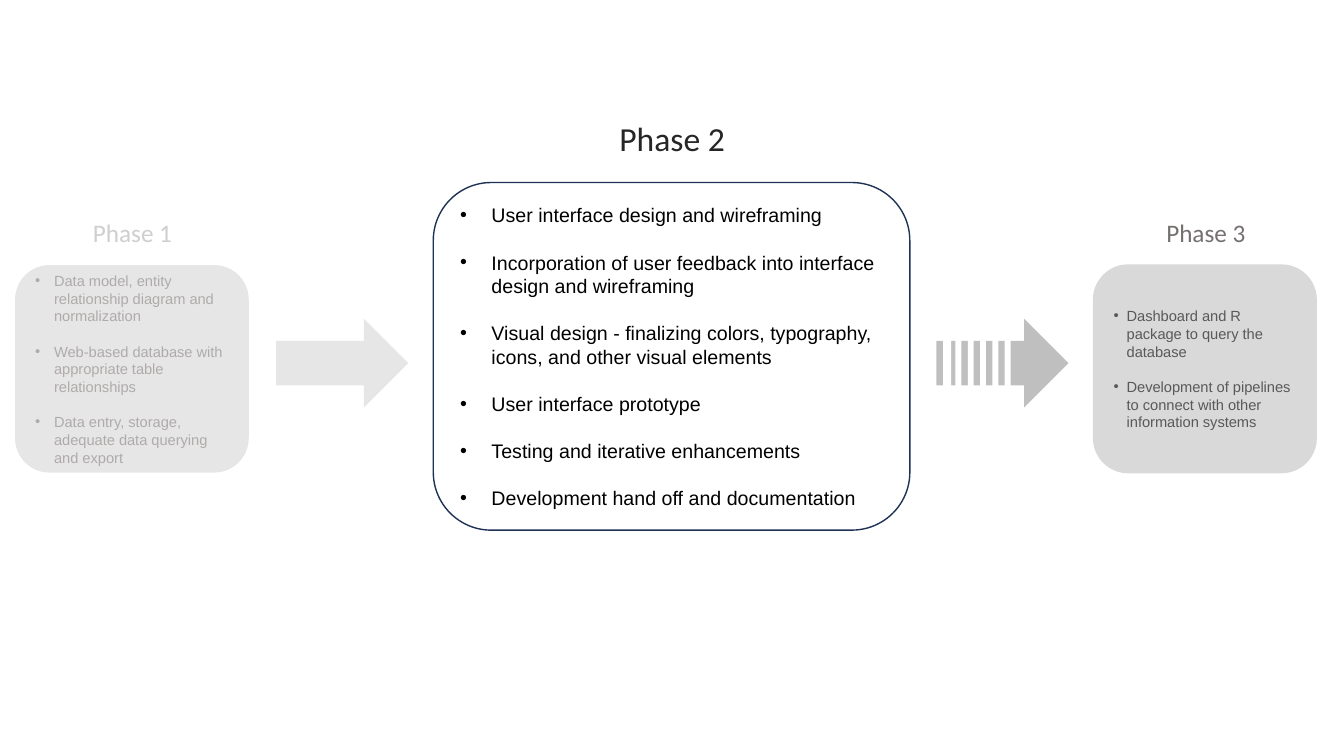
from dataclasses import dataclass

from lxml import etree
from pptx import Presentation
from pptx import util as u
from pptx.dml.color import RGBColor
from pptx.enum import shapes, text
from pptx.oxml.ns import qn

COLORS = {
    "white": "FFFFFF", "black": "000000", "navy": "1E3256",
    "pale": "E7E6E6", "pale_text": "AFABAB", "pale_title": "D0CECE",
    "silver": "D9D9D9", "dark_text": "595959", "dark_title": "767171",
    "title": "262626", "arrow": "BFBFBF",
}
LINE_HEIGHT = 1.2  # line pitch as a multiple of the text size


@dataclass
class Box:
    left: float
    top: float
    width: float
    height: float

    def lengths(self) -> list[u.Length]:
        return [u.Cm(v) for v in (self.left, self.top, self.width, self.height)]


@dataclass
class Phase:
    title: str
    title_box: Box
    title_size: float
    title_color: str
    box: Box
    fill: str
    line: str | None
    size: float
    color: str
    indent: float
    items: list[str]


PHASES = [
    Phase("Phase 1", Box(1.78, 5.36, 3.12, 1.02), 18, "pale_title",
          Box(0.38, 6.68, 5.89, 5.23), "pale", None, 10.5, "pale_text", 0.48,
          ["Data model, entity relationship diagram and normalization",
           "Web-based database with appropriate table relationships",
           "Data entry, storage, adequate data querying and export"]),
    Phase("Phase 2", Box(15.29, 2.84, 3.3, 1.27), 24, "title",
          Box(10.92, 4.6, 12.01, 8.76), "white", "navy", 14, "black", 0.79,
          ["User interface design and wireframing",
           "Incorporation of user feedback into interface design and wireframing",
           "Visual design - finalizing colors, typography, icons, and other visual elements",
           "User interface prototype",
           "Testing and iterative enhancements",
           "Development hand off and documentation"]),
    Phase("Phase 3", Box(28.83, 5.36, 3.12, 1.02), 18, "dark_title",
          Box(27.56, 6.68, 5.61, 5.23), "silver", "silver", 10.5, "dark_text", 0.33,
          ["Dashboard and R package to query the database",
           "Development of pipelines to connect with other information systems"]),
]


def rgb(name: str) -> RGBColor:
    return RGBColor.from_string(COLORS[name])


def add_shape(slide, kind, box: Box, fill: str, line: str | None = None):
    sp = slide.shapes.add_shape(kind, *box.lengths())
    sp.shadow.inherit = False
    sp.fill.solid()
    sp.fill.fore_color.rgb = rgb(fill)
    if line:
        sp.line.color.rgb = rgb(line)
        sp.line.width = u.Pt(1)
    else:
        sp.line.fill.background()
    return sp


def add_bullet(p, indent: float) -> None:
    pPr = p._p.get_or_add_pPr()
    pPr.set("marL", str(u.Cm(indent)))
    pPr.set("indent", str(-u.Cm(indent)))
    etree.SubElement(pPr, qn("a:buFont"), typeface="Arial")
    etree.SubElement(pPr, qn("a:buChar"), char="•")


def write(tf, lines: list[str], *, size: float, font: str, color: str,
          align=text.PP_ALIGN.LEFT, indent: float | None = None) -> None:
    tf.word_wrap = True
    for i, line in enumerate(lines):
        p = tf.paragraphs[0] if i == 0 else tf.add_paragraph()
        p.alignment = align
        if indent is not None:
            p.line_spacing = u.Pt(size * LINE_HEIGHT)
            p.space_before = u.Pt(size * LINE_HEIGHT if i else 0)
            add_bullet(p, indent)
        r = p.add_run()
        r.text = line
        r.font.size = u.Pt(size)
        r.font.name = font
        r.font.color.rgb = rgb(color)


def add_phase(slide, phase: Phase) -> None:
    sp = add_shape(slide, shapes.MSO_SHAPE.ROUNDED_RECTANGLE, phase.box,
                   phase.fill, phase.line)
    sp.text_frame.vertical_anchor = text.MSO_ANCHOR.MIDDLE
    write(sp.text_frame, phase.items, size=phase.size, font="Arial",
          color=phase.color, indent=phase.indent)
    title = slide.shapes.add_textbox(*phase.title_box.lengths())
    write(title.text_frame, [phase.title], size=phase.title_size, font="Calibri",
          color=phase.title_color, align=text.PP_ALIGN.CENTER)


def main() -> None:
    prs = Presentation()
    prs.slide_width, prs.slide_height = u.Cm(33.87), u.Cm(19.05)
    slide = prs.slides.add_slide(prs.slide_layouts[6])

    # Phase boxes with their titles
    for phase in PHASES:
        add_phase(slide, phase)

    # Arrows between the phases
    for left, fill in ((6.96, "pale"), (23.6, "arrow")):
        add_shape(slide, shapes.MSO_SHAPE.RIGHT_ARROW,
                  Box(left, 8.03, 3.33, 2.24), fill)

    # White gaps that stripe the tail of the second arrow
    for i in range(6):
        add_shape(slide, shapes.MSO_SHAPE.RECTANGLE,
                  Box(23.77 + 0.31 * i, 8.41, 0.15 if i else 0.2, 1.4), "white")

    prs.save("out.pptx")


if __name__ == "__main__":
    main()
